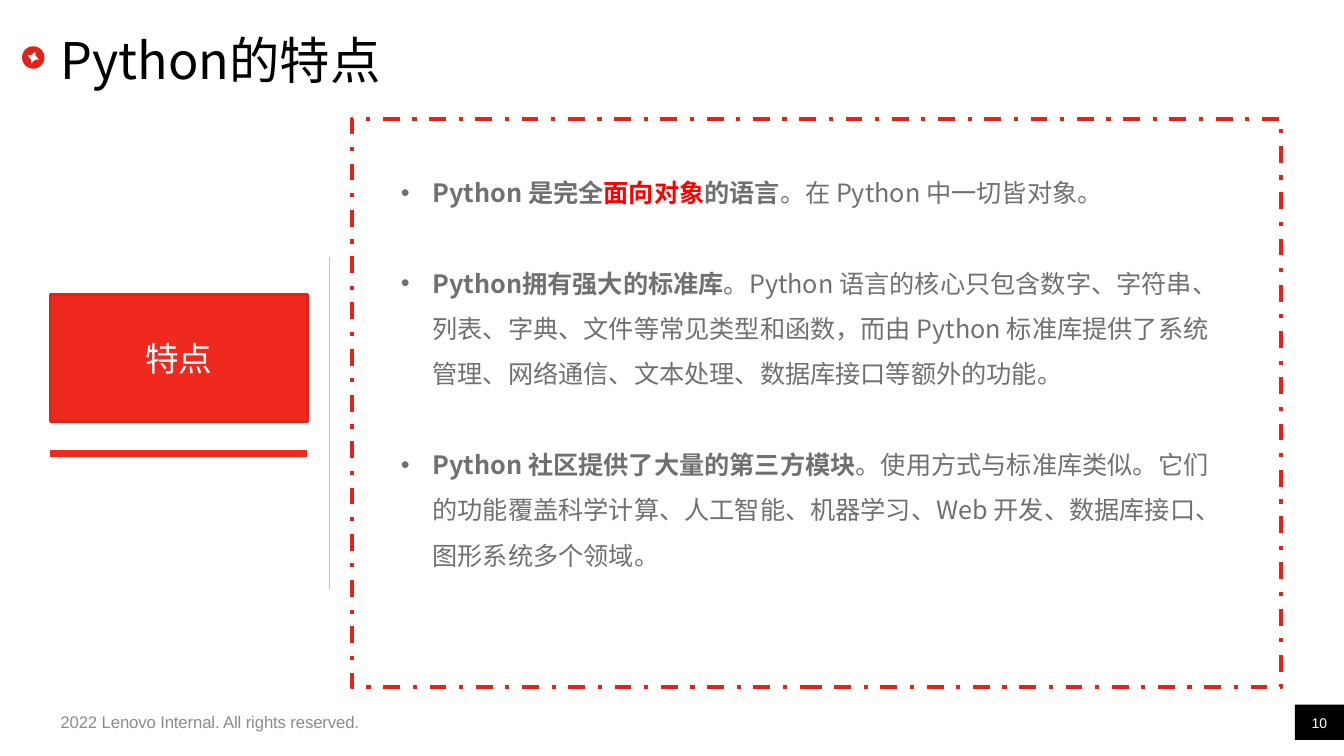
"""Build the slide on the features of Python."""
import math

import lxml.etree
import pptx
import pptx.dml.color
import pptx.enum.dml
import pptx.enum.shapes
import pptx.enum.text
import pptx.oxml.ns
import pptx.util

Pt = pptx.util.Pt
RGBColor = pptx.dml.color.RGBColor
qn = pptx.oxml.ns.qn
PP_ALIGN = pptx.enum.text.PP_ALIGN
MSO_ANCHOR = pptx.enum.text.MSO_ANCHOR

RED = RGBColor(0xE2, 0x23, 0x1A)
BRIGHT_RED = RGBColor(0xF0, 0x29, 0x1F)
HIGHLIGHT = RGBColor(0xFF, 0x00, 0x00)
BLACK = RGBColor(0x00, 0x00, 0x00)
WHITE = RGBColor(0xFF, 0xFF, 0xFF)
TEXT_GREY = RGBColor(0x6F, 0x71, 0x70)
FOOTER_GREY = RGBColor(0x8C, 0x8C, 0x8C)
RULE_GREY = RGBColor(0xC4, 0xBE, 0xB6)

CJK = "Noto Sans CJK SC"
LATIN = "Arial"
LINE_PITCH = 32.4
INDENT = 22.5

FEATURES = [
    [("Python 是完全", True, TEXT_GREY), ("面向对象", True, HIGHLIGHT),
     ("的语言", True, TEXT_GREY), ("。在 Python 中一切皆对象。", False, TEXT_GREY)],
    [("Python拥有强大的标准库", True, TEXT_GREY),
     ("。Python 语言的核心只包含数字、字符串、列表、字典、文件等常见类型和函数，"
      "而由 Python 标准库提供了系统管理、网络通信、文本处理、数据库接口等额外的功能。",
      False, TEXT_GREY)],
    [("Python 社区提供了大量的第三方模块", True, TEXT_GREY),
     ("。使用方式与标准库类似。它们的功能覆盖科学计算、人工智能、机器学习、"
      "Web 开发、数据库接口、图形系统多个领域。", False, TEXT_GREY)],
]


def add_run(p, text, color, **font):
    """Add a run with its font values and East Asian typeface."""
    r = p.add_run()
    r.text = text
    r.font.color.rgb = color
    for name, value in font.items():
        setattr(r.font, name, value)
    ea = lxml.etree.SubElement(r.font._element, qn("a:ea"))
    ea.set("typeface", CJK)
    return r


def set_frame(sp, anchor, margin=0):
    """Set wrapping, anchor and equal margins, and return the text frame."""
    tf = sp.text_frame
    values = {"word_wrap": True, "vertical_anchor": anchor}
    values.update({f"margin_{side}": Pt(margin)
                   for side in ("left", "top", "right", "bottom")})
    for name, value in values.items():
        setattr(tf, name, value)
    return tf


def add_label(s, box, text, color, anchor=MSO_ANCHOR.MIDDLE,
              align=PP_ALIGN.LEFT, **font):
    """Add a one-line text box without margins and return its run."""
    tf = set_frame(s.shapes.add_textbox(*map(Pt, box)), anchor)
    p = tf.paragraphs[0]
    p.alignment = align
    return add_run(p, text, color, **font)


def add_rect(s, box, fill=None, line=None, width=0):
    """Add a rectangle with an optional fill and outline."""
    sp = s.shapes.add_shape(pptx.enum.shapes.MSO_SHAPE.RECTANGLE, *map(Pt, box))
    sp.shadow.inherit = False
    if fill is None:
        sp.fill.background()
    else:
        sp.fill.solid()
        sp.fill.fore_color.rgb = fill
    if line is None:
        sp.line.fill.background()
    else:
        sp.line.color.rgb = line
        sp.line.width = Pt(width)
    return sp


def add_rule(s, x1, y1, x2, y2, color, width):
    """Add a straight line without a shadow."""
    cn = s.shapes.add_connector(pptx.enum.shapes.MSO_CONNECTOR.STRAIGHT,
                                Pt(x1), Pt(y1), Pt(x2), Pt(y2))
    cn.line.color.rgb = color
    cn.line.width = Pt(width)
    lxml.etree.SubElement(cn._element.spPr, qn("a:effectLst"))


def add_plus_icon(s, left, top, size):
    """Add a disc with a plus sign cut out of it."""
    cx, cy, radius = left + size / 2, top + size / 2, size / 2
    disc = [(cx + radius * math.cos(math.radians(a)),
             cy + radius * math.sin(math.radians(a))) for a in range(0, 360, 6)]
    arm, half = 0.54 * radius, 0.2 * radius
    corners = [(half, -half), (half, -arm), (-half, -arm)]
    plus = []
    for _ in range(4):
        plus += [(cx + x, cy + y) for x, y in corners[:2]]
        corners = [(y, -x) for x, y in corners]
    outlines = [[(Pt(x), Pt(y)) for x, y in points] for points in (disc, plus)]
    fb = s.shapes.build_freeform(*outlines[0][0], scale=1.0)
    fb.add_line_segments(outlines[0][1:], close=True)
    fb.move_to(*outlines[1][0])
    fb.add_line_segments(outlines[1][1:], close=True)
    sp = fb.convert_to_shape()
    sp.shadow.inherit = False
    sp.fill.solid()
    sp.fill.fore_color.rgb = RED
    sp.line.fill.background()


def add_header(s, left, top, width, height):
    """Add the title with its icon to the left."""
    add_plus_icon(s, left, top + 11.5, 16)
    add_label(s, (left + 27.4, top, width - 27.4, height), "Python 的特点".replace(" ", ""),
              BLACK, size=Pt(36), name=CJK)


def add_topic(s, left, top, width, height):
    """Add the topic box, the bar below it and the divider beside it."""
    sp = add_rect(s, (left, top, width, height), BRIGHT_RED, RED, 2)
    p = set_frame(sp, MSO_ANCHOR.MIDDLE, 4).paragraphs[0]
    p.alignment = PP_ALIGN.CENTER
    add_run(p, "特点", WHITE, size=Pt(24), name=LATIN)
    bar = top + height + 23
    add_rule(s, left, bar, left + width, bar, BRIGHT_RED, 4.5)
    divider = left + width + 15.8
    add_rule(s, divider, top - 26.6, divider, top + 210.3, RULE_GREY, 0.75)


def add_features(s, left, top, width, height):
    """Add the dashed frame and the bulleted features inside it."""
    frame = add_rect(s, (left, top, width, height), line=RED, width=3)
    frame.line.dash_style = pptx.enum.dml.MSO_LINE.DASH_DOT
    sp = s.shapes.add_textbox(Pt(left + 28), Pt(top + 27.3), Pt(592), Pt(302))
    tf = set_frame(sp, MSO_ANCHOR.TOP)
    tf.margin_left = tf.margin_right = Pt(7.2)
    tf.margin_top = tf.margin_bottom = Pt(3.6)
    for i, parts in enumerate(FEATURES):
        p = tf.add_paragraph() if i else tf.paragraphs[0]
        p.line_spacing = Pt(LINE_PITCH)
        p.space_before = Pt(LINE_PITCH if i else 0)
        pPr = p._p.get_or_add_pPr()
        pPr.set("marL", str(Pt(INDENT)))
        pPr.set("indent", str(-Pt(INDENT)))
        lxml.etree.SubElement(pPr, qn("a:buFont")).set("typeface", LATIN)
        lxml.etree.SubElement(pPr, qn("a:buChar")).set("char", "•")
        for text, bold, color in parts:
            add_run(p, text, color, size=Pt(18), bold=bold, name=CJK)


def add_footer(s, left, top, width, height):
    """Add the copyright line and the page number badge at the right edge."""
    r = add_label(s, (left, top + 5, 244, 14.4),
                  "2022 Lenovo Internal. All rights reserved.",
                  FOOTER_GREY, size=Pt(12), name=LATIN)
    r.font._element.set("spc", "-10")
    badge = left + width - 35
    add_rect(s, (badge, top, 35, height), BLACK)
    add_label(s, (badge, top, 35, 19.4), "10", WHITE, MSO_ANCHOR.BOTTOM,
              PP_ALIGN.CENTER, size=Pt(10), name=LATIN)


def main():
    """Create the presentation and save it."""
    prs = pptx.Presentation()
    prs.slide_width, prs.slide_height = Pt(960), Pt(540)
    s = prs.slides.add_slide(prs.slide_layouts[6])
    add_header(s, 15.8, 21.6, 899.4, 41)
    add_topic(s, 36, 210.2, 183.6, 90.7)
    add_features(s, 251.3, 85, 664, 406)
    add_footer(s, 43.2, 503.3, 916.8, 25.2)
    prs.save("out.pptx")


if __name__ == "__main__":
    main()
